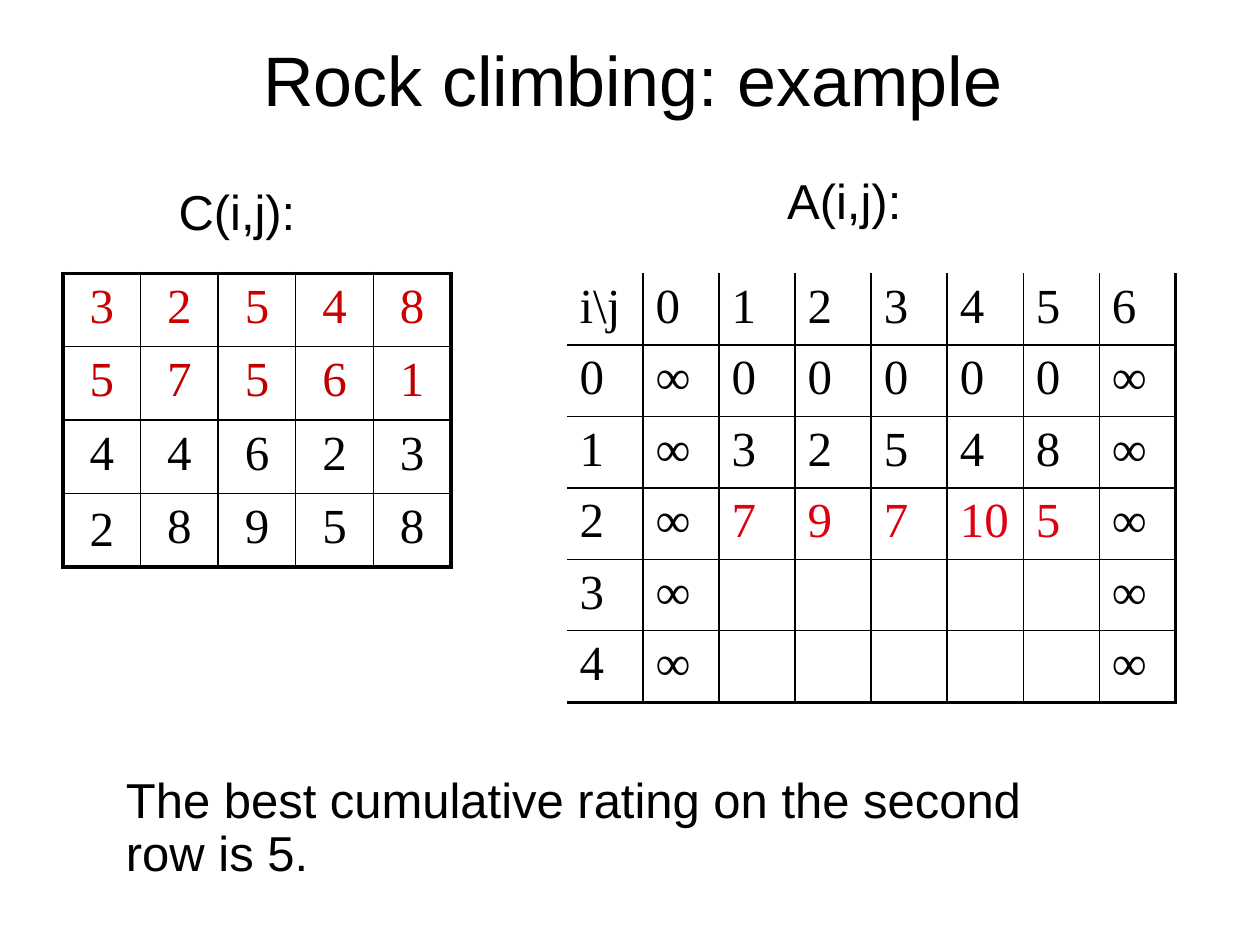
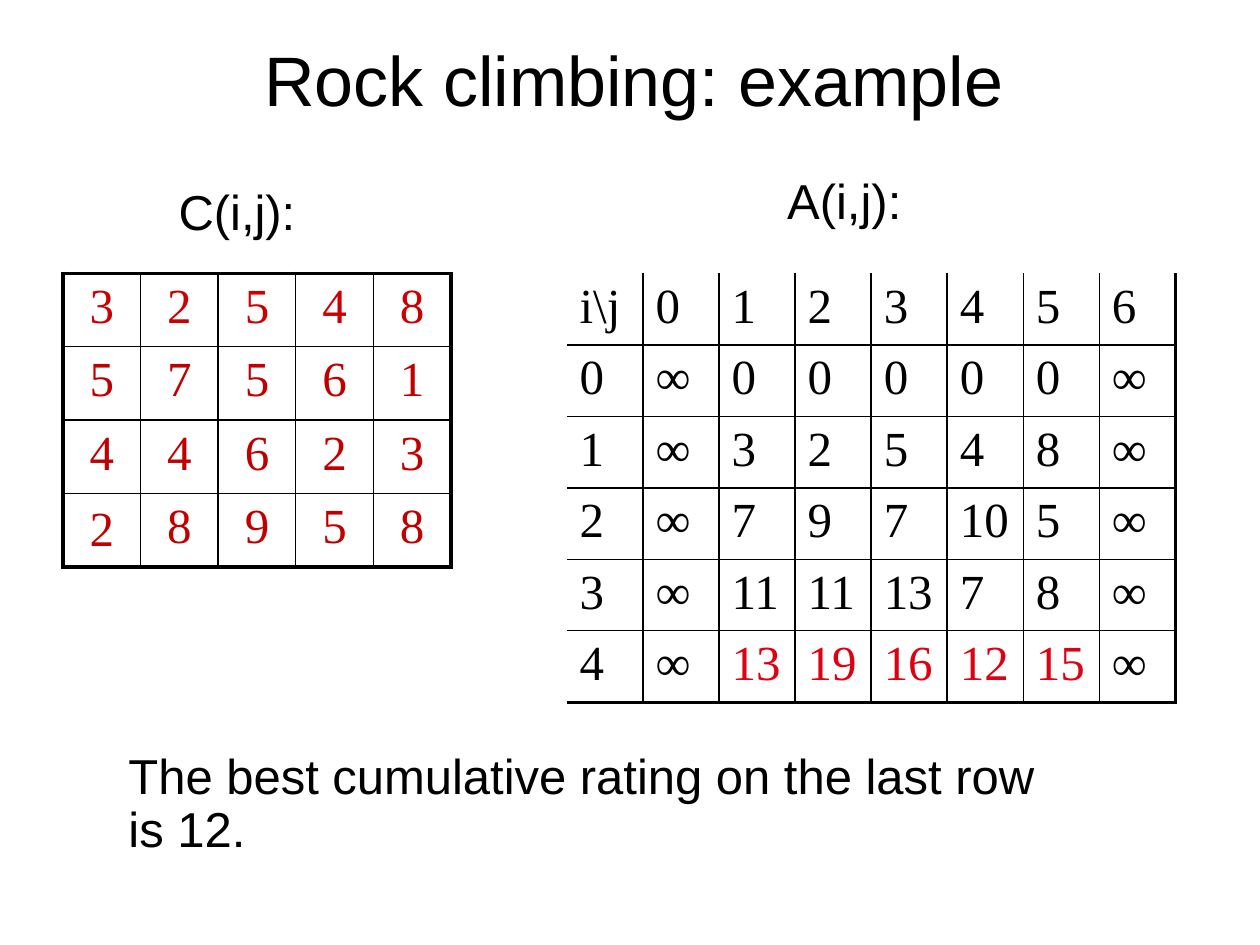
import dataclasses
import math

import pptx
import pptx.dml.color
import pptx.enum.text
import pptx.util
from lxml import etree

Cm = pptx.util.Cm
Pt = pptx.util.Pt
ALIGN = pptx.enum.text.PP_ALIGN
ANCHOR = pptx.enum.text.MSO_ANCHOR


@dataclasses.dataclass(frozen=True)
class Theme:
    ink: str = "000000"
    first_row: str = "CC0000"
    done_row: str = "C00000"
    new_row: str = "DD0111"
    sans: str = "Arial"
    serif: str = "Times New Roman"
    title_size: int = 40
    body_size: int = 28
    thin: float = 1
    thick: float = 2.25


class ClimbingDeck:
    def __init__(self, theme):
        self.theme = theme
        self.deck = pptx.Presentation()
        self.deck.slide_width = Cm(25.4)
        self.deck.slide_height = Cm(19.05)
        self.slide = None

    def new_slide(self):
        self.slide = self.deck.slides.add_slide(self.deck.slide_layouts[6])

    def add_words(self, paragraph, words, size, font, color):
        run = paragraph.add_run()
        run.text = words
        run.font.size = Pt(size)
        run.font.name = font
        run.font.color.rgb = pptx.dml.color.RGBColor.from_string(color)

    def text(self, words, left, top, width, height=1.32, wrap=False):
        frame = self.slide.shapes.add_textbox(
            Cm(left), Cm(top), Cm(width), Cm(height)).text_frame
        frame.word_wrap = wrap
        paragraph = frame.paragraphs[0]
        paragraph.line_spacing = 0.9
        self.add_words(paragraph, words, self.theme.body_size, self.theme.sans, self.theme.ink)

    def title(self, words, left):
        frame = self.slide.shapes.add_textbox(Cm(left), 0, Cm(21.59), Cm(3.18)).text_frame
        frame.word_wrap = True
        frame.vertical_anchor = ANCHOR.MIDDLE
        heading = frame.paragraphs[0]
        heading.alignment = ALIGN.CENTER
        self.add_words(heading, words, self.theme.title_size, self.theme.sans, self.theme.ink)

    def border(self, cell, side, points):
        namespace = "{http://schemas.openxmlformats.org/drawingml/2006/main}"
        line = etree.SubElement(cell._tc.get_or_add_tcPr(), f"{namespace}ln{side}")
        line.set("w", str(int(Pt(points))))
        if points:
            fill = etree.SubElement(line, f"{namespace}solidFill")
            etree.SubElement(fill, f"{namespace}srgbClr", val=self.theme.ink)
        else:
            etree.SubElement(line, f"{namespace}noFill")

    def grid(self, values, color_of, left, width, height, align, outer):
        row_count, column_count = len(values), len(values[0])
        table = self.slide.shapes.add_table(
            row_count, column_count, Cm(left), Cm(5.51), Cm(width), Cm(height)).table
        table.first_row = table.horz_banding = False
        for column in table.columns:
            column.width = Cm(width / column_count)
        for i, row in enumerate(values):
            table.rows[i].height = Cm(height / row_count)
            for j, value in enumerate(row):
                cell = table.cell(i, j)
                on_edge = {"L": j == 0, "R": j == column_count - 1,
                           "T": i == 0, "B": i == row_count - 1}
                for side, at_edge in on_edge.items():
                    self.border(cell, side, outer[side] if at_edge else self.theme.thin)
                cell.fill.background()
                entry = cell.text_frame.paragraphs[0]
                entry.alignment = align
                if value:
                    self.add_words(entry, value, self.theme.body_size,
                                   self.theme.serif, color_of(i, j))
        return table

    def rating_table(self, ratings, rows_done):
        def color_of(i, j):
            if i >= rows_done:
                return self.theme.ink
            return self.theme.done_row if i else self.theme.first_row

        values = [[str(rating) for rating in row] for row in ratings]
        table = self.grid(values, color_of, 1.27, 7.82, 5.92, ALIGN.CENTER,
                          dict.fromkeys("LRTB", self.theme.thick))
        table.cell(len(ratings) - 1, 0).vertical_anchor = ANCHOR.MIDDLE

    def cumulative_table(self, totals, rows_done):
        last = len(totals[0]) - 1

        def color_of(i, j):
            is_new = i == rows_done + 1 and 1 < j <= last
            return self.theme.new_row if is_new else self.theme.ink

        def shown(i, total):
            if total == math.inf:
                return "∞"
            return str(total) if i <= rows_done else ""

        values = [["i\\j"] + [str(j) for j in range(last + 1)]]
        for i, row in enumerate(totals):
            values.append([str(i)] + [shown(i, total) for total in row])
        self.grid(values, color_of, 11.43, 12.27, 8.64, ALIGN.LEFT,
                  {"L": 0, "T": 0, "R": self.theme.thick, "B": self.theme.thick})


def cumulative(ratings):
    totals = [[math.inf] + [0] * len(ratings[0]) + [math.inf]]
    for row in ratings:
        above = totals[-1]
        best = [rating + min(above[j:j + 3]) for j, rating in enumerate(row)]
        totals.append([math.inf] + best + [math.inf])
    return totals


def main():
    ratings = [
        [3, 2, 5, 4, 8],
        [5, 7, 5, 6, 1],
        [4, 4, 6, 2, 3],
        [2, 8, 9, 5, 8],
    ]
    totals = cumulative(ratings)
    steps = [
        (2, 1.96, "The best cumulative rating on the second row is 5.", (2.29, 15.52, 20.4)),
        (4, 1.98, "The best cumulative rating on the last row is 12.", (2.34, 15.04, 19.53)),
    ]
    climbing = ClimbingDeck(Theme())
    for rows_done, title_left, conclusion, place in steps:
        climbing.new_slide()
        climbing.title("Rock climbing: example", title_left)
        climbing.rating_table(ratings, rows_done)
        climbing.text("C(i,j):", 3.35, 3.66, 2.9)
        climbing.text("A(i,j):", 15.62, 3.45, 2.95)
        climbing.text(conclusion, *place, height=2.3, wrap=True)
        climbing.cumulative_table(totals, rows_done)
    climbing.deck.save("out.pptx")


if __name__ == "__main__":
    main()
